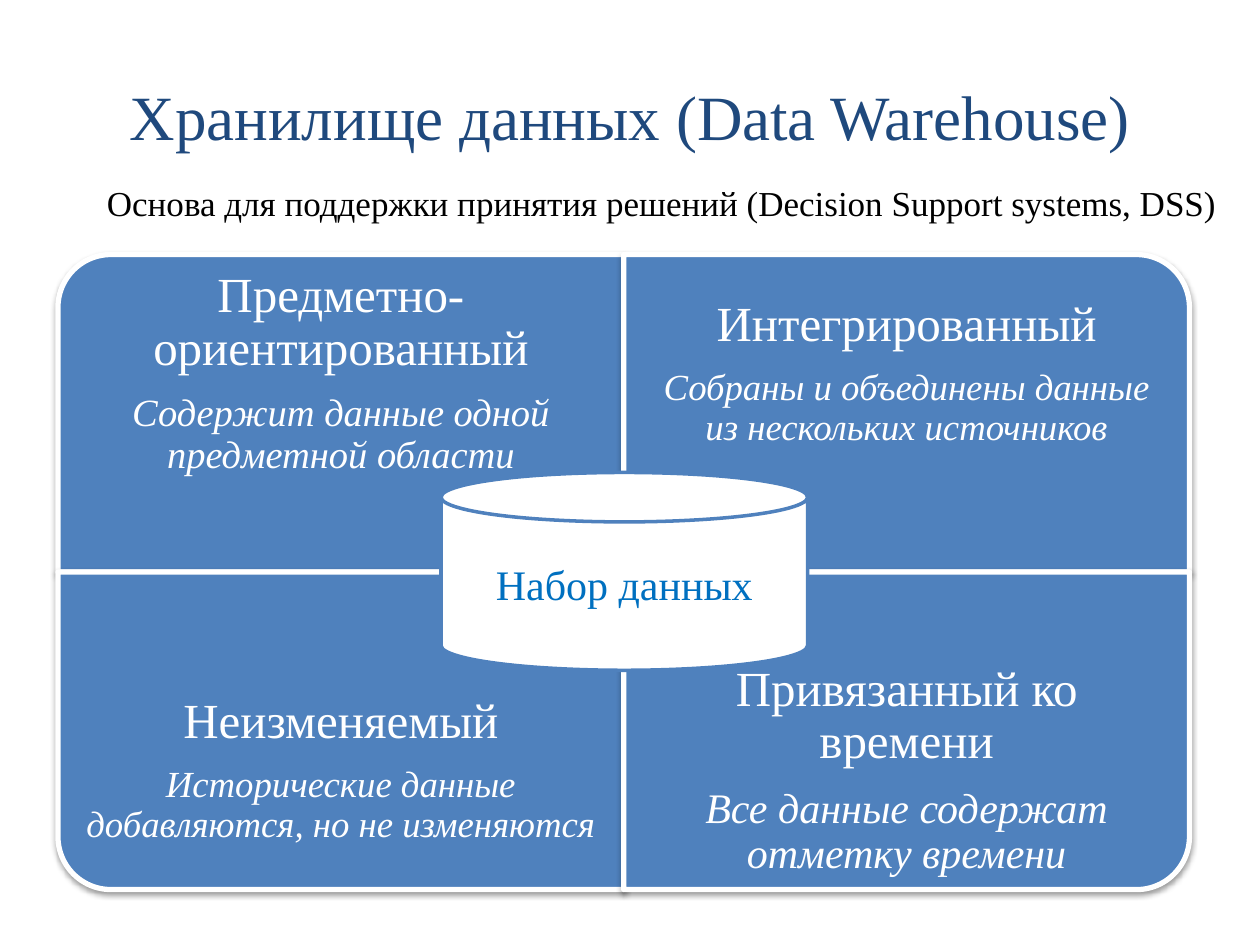
from dataclasses import dataclass

from lxml import etree
from pptx import Presentation
from pptx.dml.color import RGBColor
from pptx.enum.shapes import MSO_SHAPE as Shape
from pptx.enum.text import MSO_ANCHOR as Anchor, MSO_AUTO_SIZE as AutoSize, PP_ALIGN as Align
from pptx.oxml.ns import qn
from pptx.util import Inches, Pt


@dataclass(frozen=True)
class Theme:
    font: str = "Times New Roman"
    title: str = "1F497D"
    ink: str = "000000"
    white: str = "FFFFFF"
    panel: str = "4F81BD"
    accent: str = "0070C0"
    title_size: int = 36
    heading_size: int = 28
    label_size: int = 24
    subtitle_size: int = 20


class SlideBuilder:
    def __init__(self, slide, theme):
        self.slide = slide
        self.theme = theme

    def add_text(self, para, text, size, color, align=Align.CENTER, italic=False):
        para.alignment = align
        span = para.add_run()
        span.text = text
        font_format = {"name": self.theme.font, "size": Pt(size), "italic": italic}
        for name, value in font_format.items():
            setattr(span.font, name, value)
        span.font.color.rgb = RGBColor.from_string(color)

    def text_box(self, left, top, width, height, margin=None, **frame_format):
        box = self.slide.shapes.add_textbox(*map(Inches, (left, top, width, height)))
        if margin is not None:
            for side in ("left", "top", "right", "bottom"):
                frame_format[f"margin_{side}"] = Inches(margin)
        for name, value in frame_format.items():
            setattr(box.text_frame, name, value)
        return box.text_frame

    def shape(self, kind, left, top, width, height, fill, line, line_width):
        item = self.slide.shapes.add_shape(kind, *map(Inches, (left, top, width, height)))
        item.shadow.inherit = False
        item.fill.solid()
        item.fill.fore_color.rgb = RGBColor.from_string(fill)
        item.line.color.rgb = RGBColor.from_string(line)
        item.line.width = Pt(line_width)
        return item

    def soft_shadow(self, item):
        effects = item._element.spPr.find(qn("a:effectLst"))
        shadow = etree.SubElement(effects, qn("a:outerShdw"), blurRad="40000",
                                  dist="20000", dir="5400000", rotWithShape="0")
        color = etree.SubElement(shadow, qn("a:srgbClr"), val=self.theme.ink)
        etree.SubElement(color, qn("a:alpha"), val="38000")

    def title(self, text):
        holder = self.slide.shapes.title
        place = {"left": 0.75, "top": 0.29, "width": 8.5, "height": 1.25}
        for name, value in place.items():
            setattr(holder, name, Inches(value))
        holder.text_frame.vertical_anchor = Anchor.MIDDLE
        self.add_text(holder.text_frame.paragraphs[0], text,
                      self.theme.title_size, self.theme.title)

    def subtitle(self, text):
        frame = self.text_box(0.75, 1.39, 9.08, 0.44, word_wrap=False,
                              auto_size=AutoSize.SHAPE_TO_FIT_TEXT)
        self.add_text(frame.paragraphs[0], text, self.theme.subtitle_size,
                      self.theme.ink, Align.LEFT)

    def panel(self, left, top, width, height, rotation):
        # A quarter turn swaps the sides around the same centre
        wide, tall = (height, width) if rotation % 180 else (width, height)
        item = self.shape(Shape.ROUND_1_RECTANGLE, left + (width - wide) / 2,
                          top + (height - tall) / 2, wide, tall,
                          self.theme.panel, self.theme.white, 3)
        item.rotation = rotation
        self.soft_shadow(item)

    def panel_text(self, left, top, width, height, heading, detail, detail_size):
        frame = self.text_box(left, top, width, height, margin=0.22,
                              word_wrap=True, vertical_anchor=Anchor.MIDDLE)
        lines = ((frame.paragraphs[0], heading, self.theme.heading_size, False),
                 (frame.add_paragraph(), detail, detail_size, True))
        for para, text, size, italic in lines:
            para.line_spacing = 0.9
            para.space_after = Pt(round(size * 0.35, 1))
            self.add_text(para, text, size, self.theme.white, italic=italic)

    def cylinder(self, left, top, width, height, text):
        item = self.shape(Shape.CAN, left, top, width, height,
                          self.theme.white, self.theme.panel, 2)
        item.text_frame.word_wrap = True
        item.text_frame.vertical_anchor = Anchor.MIDDLE
        self.add_text(item.text_frame.paragraphs[0], text,
                      self.theme.label_size, self.theme.accent)


# Row, column, rotation of the rounded corner, heading, detail, detail size
PANELS = [
    (0, 0, 270, "Предметно-ориентированный", "Содержит данные одной предметной области", 22),
    (0, 1, 0, "Интегрированный", "Собраны и объединены данные из нескольких источников", 21),
    (1, 0, 180, "Неизменяемый", "Исторические данные добавляются, но не изменяются", 21),
    (1, 1, 90, "Привязанный ко времени", "Все данные содержат отметку времени", 24),
]
GRID_LEFT, GRID_TOP = 0.46, 2.02
PANEL_WIDTH, PANEL_HEIGHT = 4.49, 2.52
TEXT_HEIGHT = PANEL_HEIGHT * 0.75


def main():
    deck = Presentation()
    deck.slide_width, deck.slide_height = Inches(10), Inches(7.5)
    page = SlideBuilder(deck.slides.add_slide(deck.slide_layouts[5]), Theme())

    # Title
    page.title("Хранилище данных (Data Warehouse)")

    # Four panels, with text kept to the outer three quarters
    for row, column, rotation, heading, detail, detail_size in PANELS:
        left = GRID_LEFT + column * PANEL_WIDTH
        top = GRID_TOP + row * PANEL_HEIGHT
        page.panel(left, top, PANEL_WIDTH, PANEL_HEIGHT, rotation)
        text_top = top + row * (PANEL_HEIGHT - TEXT_HEIGHT)
        page.panel_text(left, text_top, PANEL_WIDTH, TEXT_HEIGHT,
                        heading, detail, detail_size)

    # Data set in the centre
    page.cylinder(3.5, 3.75, 2.91, 1.57, "Набор данных")

    # Subtitle
    page.subtitle("Основа для поддержки принятия решений (Decision Support systems, DSS)")

    deck.save("out.pptx")


if __name__ == "__main__":
    main()
